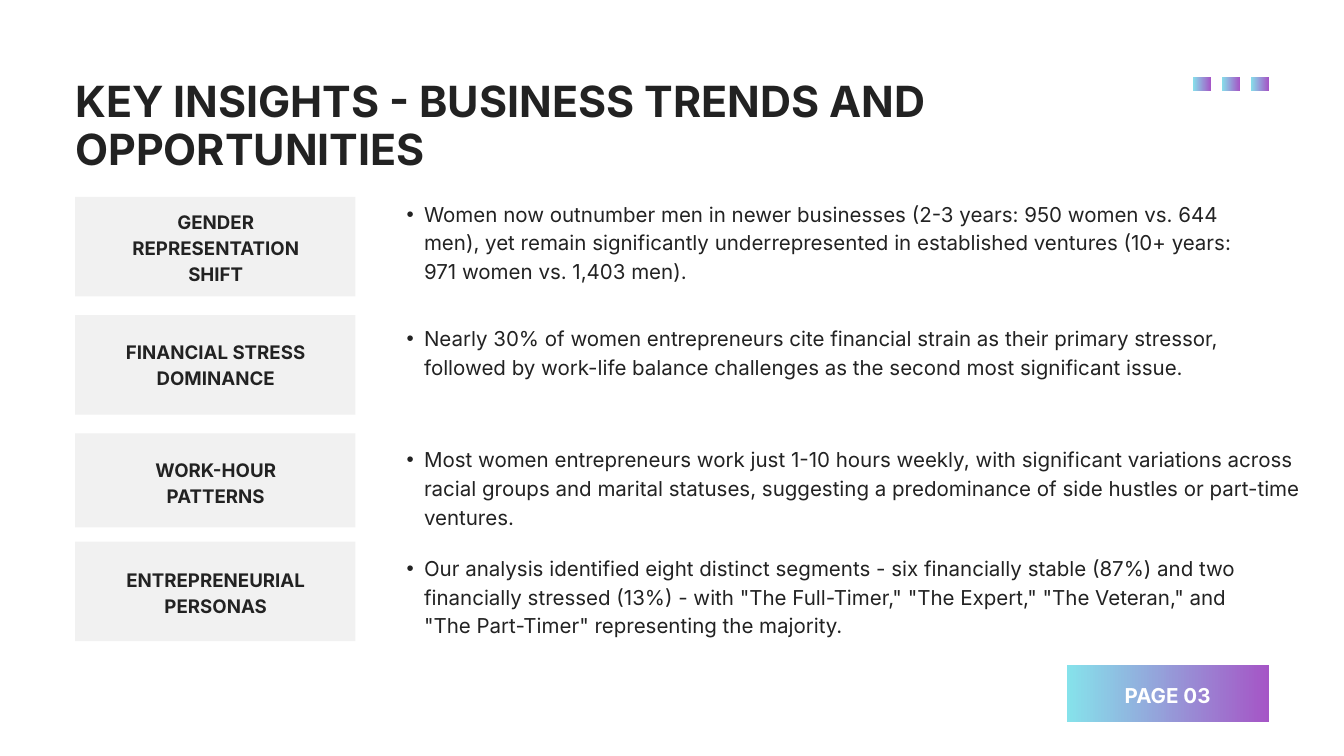
from dataclasses import dataclass

from lxml.etree import SubElement
from pptx import Presentation
from pptx.dml.color import RGBColor
from pptx.enum.shapes import MSO_SHAPE as Shape
from pptx.enum.text import PP_ALIGN as Align
from pptx.oxml.ns import qn
from pptx.util import Inches, Pt


@dataclass(frozen=True)
class Theme:
    font: str = "Inter"
    ink: str = "222222"
    white: str = "FFFFFF"
    panel: str = "F1F1F1"
    gradient: tuple = ("86E2EB", "A555C6")
    title_size: int = 46
    body_size: int = 22
    label_size: int = 20


THEME = Theme()
LEFT = 1.12

# Panel top and height, label top and height, label,
# insight top, width and height, insight
ROWS = [
    (2.93, 1.48, 3.08, 1.14, "GENDER REPRESENTATION SHIFT", 2.94, 13.08, 1.26,
     "Women now outnumber men in newer businesses (2-3 years: 950 women vs. 644 men), "
     "yet remain significantly underrepresented in established ventures "
     "(10+ years: 971 women vs. 1,403 men)."),
    (4.69, 1.48, 5.01, 0.76, "FINANCIAL STRESS DOMINANCE", 4.79, 13.56, 0.83,
     "Nearly 30% of women entrepreneurs cite financial strain as their primary stressor, "
     "followed by work-life balance challenges as the second most significant issue."),
    (6.45, 1.4, 6.77, 0.76, "WORK-HOUR PATTERNS", 6.59, 13.56, 1.26,
     "Most women entrepreneurs work just 1-10 hours weekly, with significant variations "
     "across racial groups and marital statuses, suggesting a predominance of side hustles "
     "or part-time ventures."),
    (8.06, 1.48, 8.41, 0.76, "ENTREPRENEURIAL PERSONAS", 8.21, 13.08, 1.26,
     "Our analysis identified eight distinct segments - six financially stable (87%) and "
     "two financially stressed (13%) - with \"The Full-Timer,\" \"The Expert,\" "
     "\"The Veteran,\" and \"The Part-Timer\" representing the majority."),
]


def add_rectangle(slide, left, top, width, height, color=None):
    """Add a borderless rectangle; without a color it takes the theme gradient."""
    shape = slide.shapes.add_shape(
        Shape.RECTANGLE, Inches(left), Inches(top), Inches(width), Inches(height))
    shape.shadow.inherit = False
    shape.line.fill.background()
    if color:
        shape.fill.solid()
        shape.fill.fore_color.rgb = RGBColor.from_string(color)
    else:
        shape.fill.gradient()
        shape.fill.gradient_angle = 0
        for stop, stop_color in zip(shape.fill.gradient_stops, THEME.gradient):
            stop.color.rgb = RGBColor.from_string(stop_color)
    return shape


def add_bullet(paragraph):
    properties = paragraph._p.get_or_add_pPr()
    properties.set("marL", str(Inches(0.52)))
    properties.set("indent", str(Inches(-0.26)))
    SubElement(properties, qn("a:buFont")).set("typeface", "Arial")
    SubElement(properties, qn("a:buChar")).set("char", "•")


def add_text(slide, text, left, top, width, height, *, size, spacing,
             color=THEME.ink, bold=False, align=Align.LEFT, bullet=False):
    box = slide.shapes.add_textbox(
        Inches(left), Inches(top), Inches(width), Inches(height))
    frame = box.text_frame
    frame.word_wrap = True
    frame.margin_left = frame.margin_right = 0
    frame.margin_top = frame.margin_bottom = 0
    paragraph = frame.paragraphs[0]
    paragraph.alignment = align
    paragraph.line_spacing = Pt(spacing)
    if bullet:
        paragraph.level = 1
        add_bullet(paragraph)
    run = paragraph.add_run()
    run.text = text
    run.font.name = THEME.font
    run.font.size = Pt(size)
    run.font.bold = bold
    run.font.color.rgb = RGBColor.from_string(color)
    return box


def add_row(slide, panel_top, panel_height, label_top, label_height, label,
            insight_top, insight_width, insight_height, insight):
    add_rectangle(slide, LEFT, panel_top, 4.17, panel_height, THEME.panel)
    add_text(slide, label, 1.7, label_top, 3.02, label_height,
             size=THEME.label_size, spacing=28, bold=True, align=Align.CENTER)
    add_text(slide, insight, 5.79, insight_top, insight_width, insight_height,
             size=THEME.body_size, spacing=30.8, bullet=True)


def main():
    presentation = Presentation()
    presentation.slide_width = Inches(20)
    presentation.slide_height = Inches(11.25)
    slide = presentation.slides.add_slide(presentation.slide_layouts[6])

    # Corner squares
    for index in range(3):
        add_rectangle(slide, 17.75 + index * 0.43, 1.15, 0.27, 0.2)

    # Title
    add_text(slide, "KEY INSIGHTS - BUSINESS TRENDS AND OPPORTUNITIES",
             LEFT, 1.18, 15.04, 1.41, size=THEME.title_size, spacing=50.6, bold=True)

    # Insight rows
    for row in ROWS:
        add_row(slide, *row)

    # Page badge
    add_rectangle(slide, 15.88, 9.9, 3, 0.84)
    add_text(slide, "PAGE 03", 16.38, 10.1, 1.99, 0.41, size=THEME.body_size,
             spacing=30.8, color=THEME.white, bold=True, align=Align.CENTER)

    presentation.save("out.pptx")


if __name__ == "__main__":
    main()
